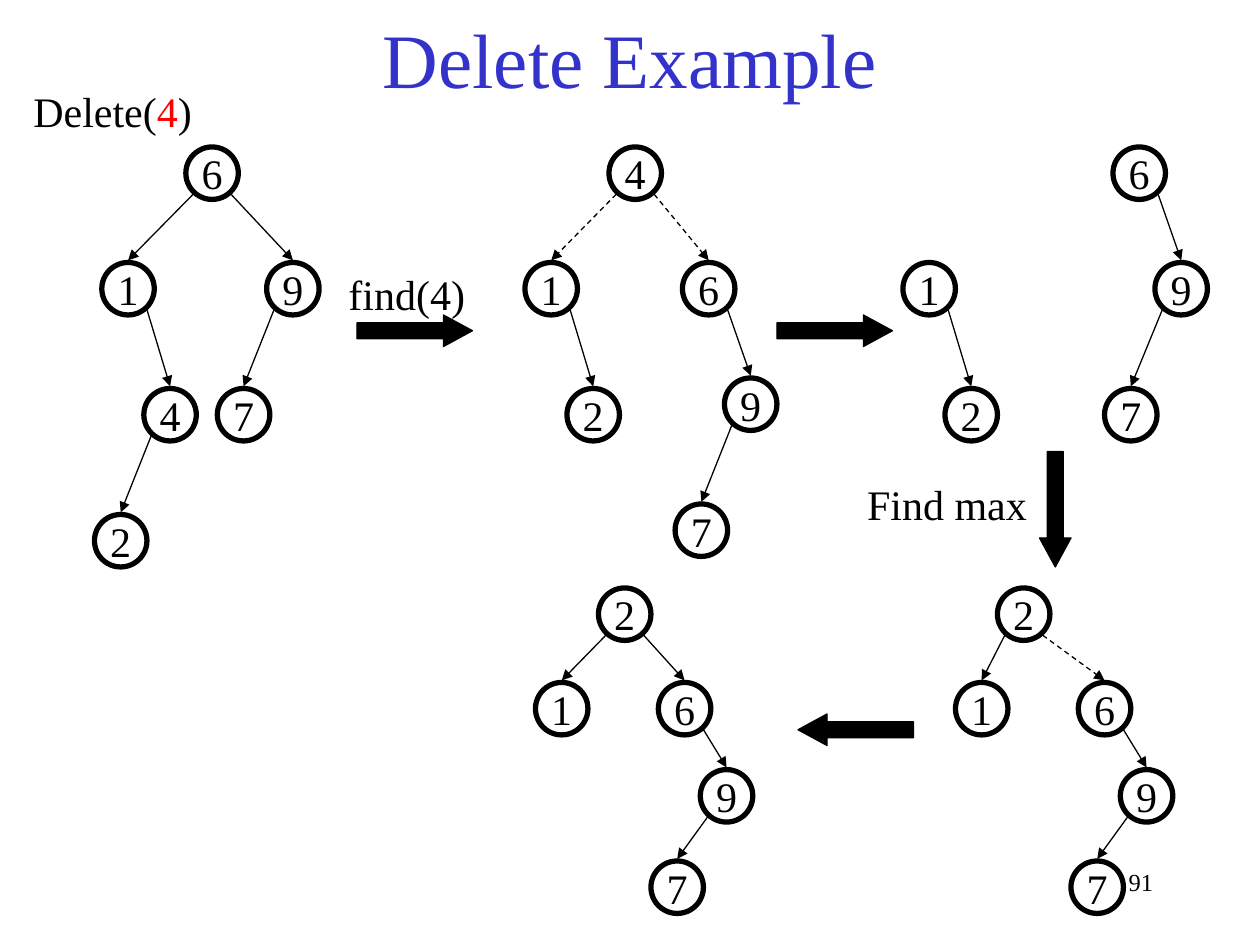
from lxml.etree import SubElement
from pptx import Presentation
from pptx.dml.color import RGBColor
from pptx.enum.dml import MSO_LINE
from pptx.enum.shapes import MSO_CONNECTOR, MSO_SHAPE
from pptx.enum.text import MSO_ANCHOR, MSO_AUTO_SIZE, PP_ALIGN
from pptx.oxml.ns import qn
from pptx.util import Emu, Pt

PX = 7620  # EMU per px, 120 px to the inch
COLORS = {"ink": "000000", "title": "3333CC", "key": "FF0000"}
FONT = "Times New Roman"
NODE = 50  # node diameter
SIDE, DROP, GAP = 18, 20, 2  # where an edge leaves its parent and stops above its child


def px(*lengths):
    return [Emu(length * PX) for length in lengths]


def rgb(name):
    return RGBColor.from_string(COLORS[name])


class TreeSlide:
    def __init__(self, slide):
        self.slide = slide
        self.shapes = slide.shapes

    def style(self, paragraph, size=24, color="ink", align=None):
        paragraph.alignment = align
        for run in paragraph.runs:
            run.font.name = FONT
            run.font.size = Pt(size)
            run.font.color.rgb = rgb(color)

    def title(self, text, box):
        heading = self.shapes.title
        heading.left, heading.top, heading.width, heading.height = px(*box)
        frame = heading.text_frame
        frame.text = text
        frame.vertical_anchor = MSO_ANCHOR.MIDDLE
        self.style(frame.paragraphs[0], 44, "title", PP_ALIGN.CENTER)

    def label(self, parts, box, size=24, align=None, wrap=False):
        frame = self.shapes.add_textbox(*px(*box)).text_frame
        frame.word_wrap = wrap
        if not wrap:
            frame.auto_size = MSO_AUTO_SIZE.SHAPE_TO_FIT_TEXT
        paragraph = frame.paragraphs[0]
        for text, _ in parts:
            paragraph.add_run().text = text
        self.style(paragraph, size, align=align)
        for run, (_, color) in zip(paragraph.runs, parts):
            run.font.color.rgb = rgb(color)

    def node(self, key, left, top):
        circle = self.shapes.add_shape(MSO_SHAPE.OVAL, *px(left, top, NODE, NODE))
        circle.shadow.inherit = False
        circle.fill.background()
        circle.line.color.rgb = rgb("ink")
        circle.line.width = Pt(3)
        frame = circle.text_frame
        frame.text = str(key)
        frame.word_wrap = False
        frame.vertical_anchor = MSO_ANCHOR.MIDDLE
        self.style(frame.paragraphs[0], align=PP_ALIGN.CENTER)

    def edge(self, parent, child, dashed):
        half = NODE // 2
        side = SIDE if child[0] > parent[0] else -SIDE
        start = parent[0] + half + side, parent[1] + half + DROP
        end = child[0] + half, child[1] - GAP
        connector = self.shapes.add_connector(MSO_CONNECTOR.STRAIGHT, *px(*start, *end))
        connector.line.color.rgb = rgb("ink")
        connector.line.width = Pt(0.75)
        if dashed:
            connector.line.dash_style = MSO_LINE.DASH
        SubElement(connector.line._get_or_add_ln(), qn("a:tailEnd"), type="triangle")
        SubElement(connector._element.spPr, qn("a:effectLst"))

    def tree(self, nodes, edges, dashed=()):
        for parent, child in edges:
            self.edge(nodes[parent], nodes[child], (parent, child) in dashed)
        for key, place in nodes.items():
            self.node(key, *place)

    def step_arrow(self, left, top, rotation=0):
        arrow = self.shapes.add_shape(MSO_SHAPE.RIGHT_ARROW, *px(left, top, 110, 30))
        arrow.adjustments[0] = 0.5
        arrow.adjustments[1] = 0.92
        arrow.rotation = rotation
        arrow.shadow.inherit = False
        arrow.fill.solid()
        arrow.fill.fore_color.rgb = rgb("ink")
        arrow.line.color.rgb = rgb("ink")
        arrow.line.width = Pt(0.75)


def main():
    deck = Presentation()
    deck.slide_width, deck.slide_height = px(1200, 900)
    page = TreeSlide(deck.slides.add_slide(deck.slide_layouts[5]))

    # Title and slide number
    page.title("Delete Example", (90, -20, 1020, 150))
    page.label([("91", "ink")], (860, 820, 250, 60), 14, PP_ALIGN.RIGHT, wrap=True)

    # Starting tree
    page.tree(
        {6: (177, 140), 1: (97, 250), 9: (254, 250), 4: (137, 370), 7: (207, 370), 2: (90, 490)},
        [(6, 1), (6, 9), (1, 4), (9, 7), (4, 2)],
    )

    # Tree after find(4), with the root about to be cut off
    page.tree(
        {4: (580, 140), 1: (500, 250), 6: (650, 250), 2: (540, 370), 9: (690, 360), 7: (643, 480)},
        [(4, 1), (4, 6), (1, 2), (6, 9), (9, 7)],
        dashed=[(4, 1), (4, 6)],
    )

    # Left and right subtrees
    page.tree({1: (860, 250), 2: (900, 370)}, [(1, 2)])
    page.tree({6: (1060, 140), 9: (1100, 250), 7: (1052, 370)}, [(6, 9), (9, 7)])

    # Joined tree: link being made, then finished
    joined_edges = [(2, 1), (2, 6), (6, 9), (9, 7)]
    for root_left, left_child, right_child, dashed in (
        (950, 910, 1027, [(2, 6)]),
        (570, 510, 627, []),
    ):
        page.tree(
            {
                2: (root_left, 560),
                1: (left_child, 650),
                6: (right_child, 650),
                9: (right_child + 40, 733),
                7: (right_child - 7, 820),
            },
            joined_edges,
            dashed,
        )

    # Steps between the trees
    for step in ((340, 300), (740, 300), (950, 470, 90), (760, 680, 180)):
        page.step_arrow(*step)
    page.label([("Delete(", "ink"), ("4", "key"), (")", "ink")], (20, 76, 178, 60))
    page.label([("find(4)", "ink")], (320, 250, 140, 60))
    page.label([("Find max", "ink")], (814, 450, 180, 60))

    deck.save("out.pptx")


if __name__ == "__main__":
    main()
